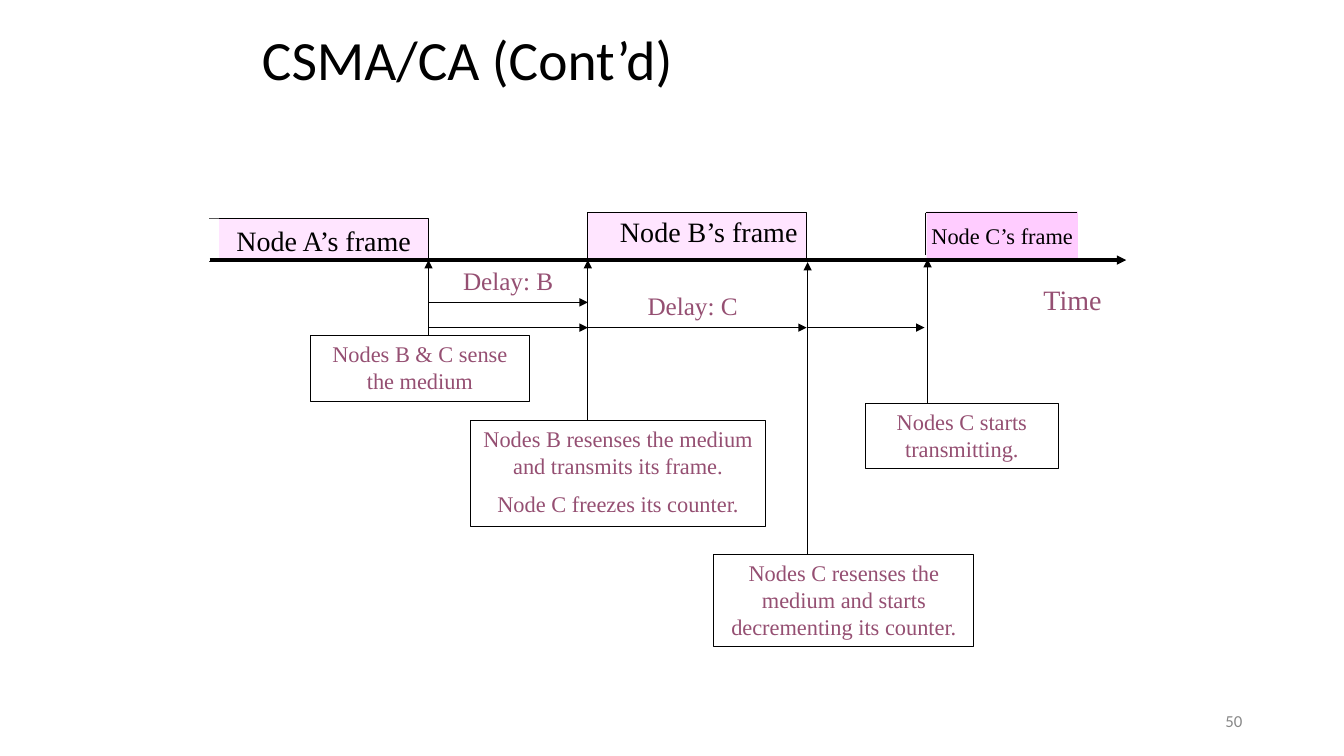
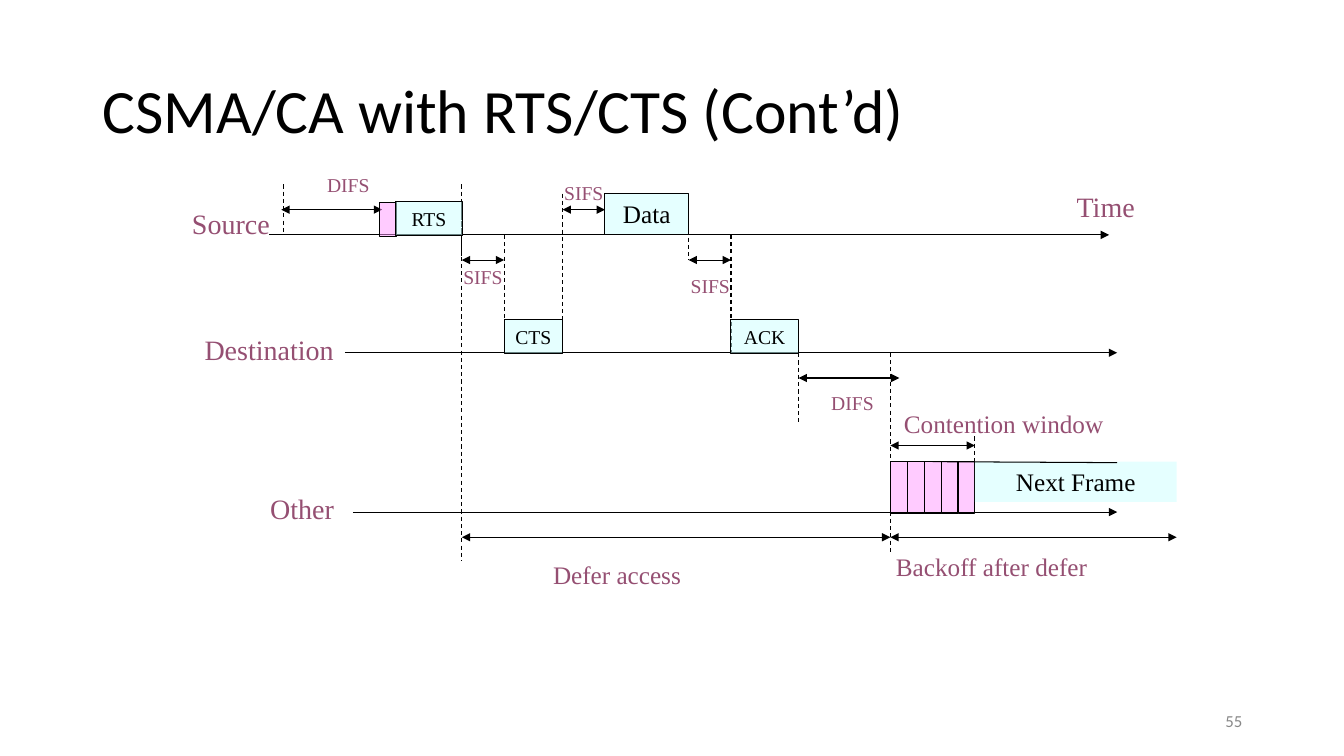
"""Build two timing-diagram slides on CSMA/CA medium access."""
from lxml import etree
from pptx import Presentation
from pptx.dml.color import RGBColor
from pptx.enum.dml import MSO_LINE
from pptx.enum.shapes import MSO_CONNECTOR, MSO_SHAPE
from pptx.enum.text import MSO_ANCHOR, PP_ALIGN
from pptx.oxml.ns import qn
from pptx.util import Inches, Pt

LEFT, CENTER, RIGHT = PP_ALIGN.LEFT, PP_ALIGN.CENTER, PP_ALIGN.RIGHT
TOP, MIDDLE = MSO_ANCHOR.TOP, MSO_ANCHOR.MIDDLE
RECTANGLE, STRAIGHT, DASH = MSO_SHAPE.RECTANGLE, MSO_CONNECTOR.STRAIGHT, MSO_LINE.DASH
HEADING_FONT, DIAGRAM_FONT = "Calibri", "Times New Roman"
COLORS = {
    "ink": "000000",
    "label": "954F72",
    "page_number": "888888",
    "pink": "FFCCFF",
    "slot": "FF99FF",
    "cyan": "CCFFFF",
    "white": "FFFFFF",
}


def rgb(name):
    """Return the palette colour of this name."""
    return RGBColor.from_string(COLORS[name])


def write(shape, text, size, color, align=CENTER, font=DIAGRAM_FONT, anchor=TOP,
          margins=(0.1, 0.05)):
    """Fill a shape with evenly formatted text."""
    frame = shape.text_frame
    frame.word_wrap = True
    frame.vertical_anchor = anchor
    frame.margin_left = frame.margin_right = Inches(margins[0])
    frame.margin_top = frame.margin_bottom = Inches(margins[1])
    frame.text = text
    for paragraph in frame.paragraphs:
        paragraph.alignment = align
        for run in paragraph.runs:
            run.font.name = font
            run.font.size = Pt(size)
            run.font.color.rgb = rgb(color)
    return frame


def label(slide, box, text, size, color="label", **style):
    """Add free-standing text."""
    textbox = slide.shapes.add_textbox(*map(Inches, box))
    return write(textbox, text, size, color, **style)


def block(slide, box, fill=None, alpha=50, outlined=True):
    """Add a plain rectangle, translucent unless alpha is 100."""
    rectangle = slide.shapes.add_shape(RECTANGLE, *map(Inches, box))
    rectangle.shadow.inherit = False
    if fill:
        rectangle.fill.solid()
        rectangle.fill.fore_color.rgb = rgb(fill)
        if alpha < 100:
            color = rectangle.fill._xPr.find(qn("a:solidFill"))[0]
            etree.SubElement(color, qn("a:alpha"), val=str(alpha * 1000))
    else:
        rectangle.fill.background()
    if outlined:
        rectangle.line.color.rgb = rgb("ink")
        rectangle.line.width = Pt(0.75)
    else:
        rectangle.line.fill.background()
    return rectangle


def line(slide, start, end, ends=(), width=0.75, dashed=False):
    """Draw a straight line with arrowheads at the named ends."""
    connector = slide.shapes.add_connector(STRAIGHT, *map(Inches, (*start, *end)))
    connector.line.color.rgb = rgb("ink")
    connector.line.width = Pt(width)
    if dashed:
        connector.line.dash_style = DASH
    stroke = connector.line._get_or_add_ln()
    for tip in ends:
        etree.SubElement(stroke, qn(f"a:{tip}"), type="triangle")
    etree.SubElement(connector._element.spPr, qn("a:effectLst"))


def arrow(slide, start, end, width=0.75):
    """Draw a one-way arrow."""
    line(slide, start, end, ("tailEnd",), width)


def interval(slide, left, right, y):
    """Draw a two-way arrow over a time interval."""
    line(slide, (left, y), (right, y), ("headEnd", "tailEnd"))


def guide(slide, x, top, bottom):
    """Draw a dashed vertical time mark."""
    line(slide, (x, top), (x, bottom), dashed=True)


def note(slide, box, text, event_x, event_y):
    """Add a boxed remark with an arrow up to its event."""
    arrow(slide, (event_x, box[1]), (event_x, event_y))
    frame = write(block(slide, box), text, 16, "label")
    for paragraph in frame.paragraphs[1:]:
        paragraph.space_before = Pt(8)


def start_slide(deck, title, title_box, title_size, number):
    """Add a blank slide with its title and page number."""
    slide = deck.slides.add_slide(deck.slide_layouts[6])
    label(slide, (9.42, 6.95, 3, 0.4), number, 12, "page_number", align=RIGHT,
          font=HEADING_FONT, anchor=MIDDLE)
    heading = label(slide, title_box, title, title_size, "ink", align=LEFT,
                    font=HEADING_FONT, anchor=MIDDLE)
    heading.paragraphs[0].line_spacing = 0.9
    return slide


def build_backoff(deck):
    """Show how nodes B and C wait for the medium."""
    slide = start_slide(deck, "CSMA/CA (Cont’d)", (2.5, 0.25, 9.17, 0.75), 39.6, "50")
    a_end, b_start, b_end, c_start = 4.25, 5.83, 8, 9.18
    axis_y = 2.58

    block(slide, (2.08, 2.17, 2.17, 0.42), "pink")
    block(slide, (1.92, 2.17, 0.25, 0.42), "white", alpha=100, outlined=False)
    block(slide, (b_start, 2.11, 2.17, 0.48), "pink")
    label(slide, (2.17, 2.17, 2.08, 0.43), "Node A’s frame", 20, "ink")
    label(slide, (5.74, 2.08, 2.58, 0.43), "Node B’s frame", 20, "ink")
    c_frame = block(slide, (9.19, 2.1, 1.5, 0.47), "pink", alpha=100, outlined=False)
    write(c_frame, "Node C’s frame", 16, "ink", margins=(0, 0.1))
    line(slide, (c_start, 2.11), (c_start, 2.53))
    line(slide, (c_start, 2.11), (10.68, 2.11))

    arrow(slide, (2.08, axis_y), (11.17, axis_y), 2.25)
    label(slide, (10.25, 2.75, 0.92, 0.43), "Time", 20, align=LEFT)

    for left, right, y in ((a_end, b_start, 3), (a_end, b_start, 3.25),
                           (b_start, b_end, 3.25), (b_end, 9.17, 3.25)):
        arrow(slide, (left, y), (right, y))
    label(slide, (4.25, 2.58, 1.58, 0.4), "Delay: B", 18)
    label(slide, (6.08, 2.83, 1.58, 0.4), "Delay: C", 18)

    for box, text, event_x, event_y in (
        ((3.08, 3.33, 2.17, 0.65), "Nodes B & C sense the medium", a_end, axis_y),
        ((4.67, 4.17, 2.92, 1.05), "Nodes B resenses the medium and transmits its frame.\n"
         "Node C freezes its counter.", b_start, axis_y),
        ((7.08, 5.5, 2.58, 0.91), "Nodes C resenses the medium and starts "
         "decrementing its counter.", 8.01, 2.6),
        ((8.58, 4, 1.92, 0.65), "Nodes C starts transmitting.", 9.2, 2.57),
    ):
        note(slide, box, text, event_x, event_y)


def build_handshake(deck):
    """Show the RTS/CTS exchange and the contention that follows."""
    slide = start_slide(deck, "CSMA/CA with RTS/CTS (Cont’d)", (0.92, 0.4, 11.5, 1.45),
                        44, "55")
    rts_end, cts_start, cts_end = 4.58, 5, 5.58
    data_start, data_end, ack_start, ack_end = 6, 6.83, 7.25, 7.92
    window_start, window_end = 8.83, 9.67
    source_y, destination_y, other_y = 2.33, 3.5, 5.08

    for left, right, y in ((2.67, 11, source_y), (3.42, 11.08, destination_y),
                           (3.5, 11.08, other_y)):
        arrow(slide, (left, y), (right, y))

    for x, top, bottom in (
        (2.81, 1.83, source_y), (rts_end, 1.83, 5.56), (rts_end, 2, 2.58),
        (cts_start, source_y, destination_y), (cts_end, 1.92, destination_y),
        (data_end, 2, 2.58), (ack_start, source_y, destination_y),
        (ack_end, 3.29, 4.21), (window_start, destination_y, 5.5),
        (window_end, 4.33, 4.75),
    ):
        guide(slide, x, top, bottom)

    for left, right, y in (
        (2.79, 3.79, 2.08), (rts_end, cts_start, 2.58), (cts_end, data_start, 2.08),
        (data_end, ack_start, 2.58), (ack_end, 8.92, 3.75),
        (window_start, window_end, 4.42), (rts_end, window_start, 5.33),
        (window_start, 11.67, 5.33),
    ):
        interval(slide, left, right, y)

    slots = 5
    slot_width = (window_end - window_start) / slots
    for slot in range(slots):
        block(slide, (window_start + slot * slot_width, 4.58, slot_width, 0.51), "slot")
    block(slide, (3.76, 2.01, 0.17, 0.34), "slot")

    for box, text, size in (
        ((3.92, 2, 0.67, 0.34), "RTS", 14),
        ((cts_start, 3.17, 0.58, 0.34), "CTS", 14),
        ((data_start, 1.92, 0.83, 0.41), "Data", 18),
        ((ack_start, 3.17, 0.67, 0.34), "ACK", 14),
    ):
        write(block(slide, box, "cyan"), text, size, "ink")
    next_frame = block(slide, (window_end, 4.58, 2, 0.4), "cyan", outlined=False)
    write(next_frame, "Next Frame", 18, "ink")
    line(slide, (9.25, 4.58), (11.08, 4.59))

    for box, text, size in (
        ((1.79, 2, 1, 0.43), "Source", 20),
        ((1.92, 3.25, 1.5, 0.43), "Destination", 20),
        ((3.12, 1.67, 0.67, 0.33), "DIFS", 14),
        ((4.33, 2.58, 0.92, 0.33), "SIFS", 14),
        ((5.33, 1.75, 0.92, 0.33), "SIFS", 14),
        ((6.67, 2.67, 0.75, 0.33), "SIFS", 14),
        ((8.08, 3.83, 0.75, 0.33), "DIFS", 14),
        ((8.83, 4, 2.25, 0.4), "Contention window", 18),
        ((4.83, 5.5, 2.58, 0.4), "Defer access", 18),
        ((8.67, 5.42, 2.33, 0.4), "Backoff after defer", 18),
    ):
        label(slide, box, text, size)
    label(slide, (2.58, 4.83, 0.92, 0.43), "Other", 20, align=LEFT)
    label(slide, (10.58, 1.83, 0.83, 0.43), "Time", 20, align=LEFT)


def main():
    """Build and save the presentation."""
    deck = Presentation()
    deck.slide_width, deck.slide_height = Inches(13.33), Inches(7.5)
    build_backoff(deck)
    build_handshake(deck)
    deck.save("out.pptx")


if __name__ == "__main__":
    main()
